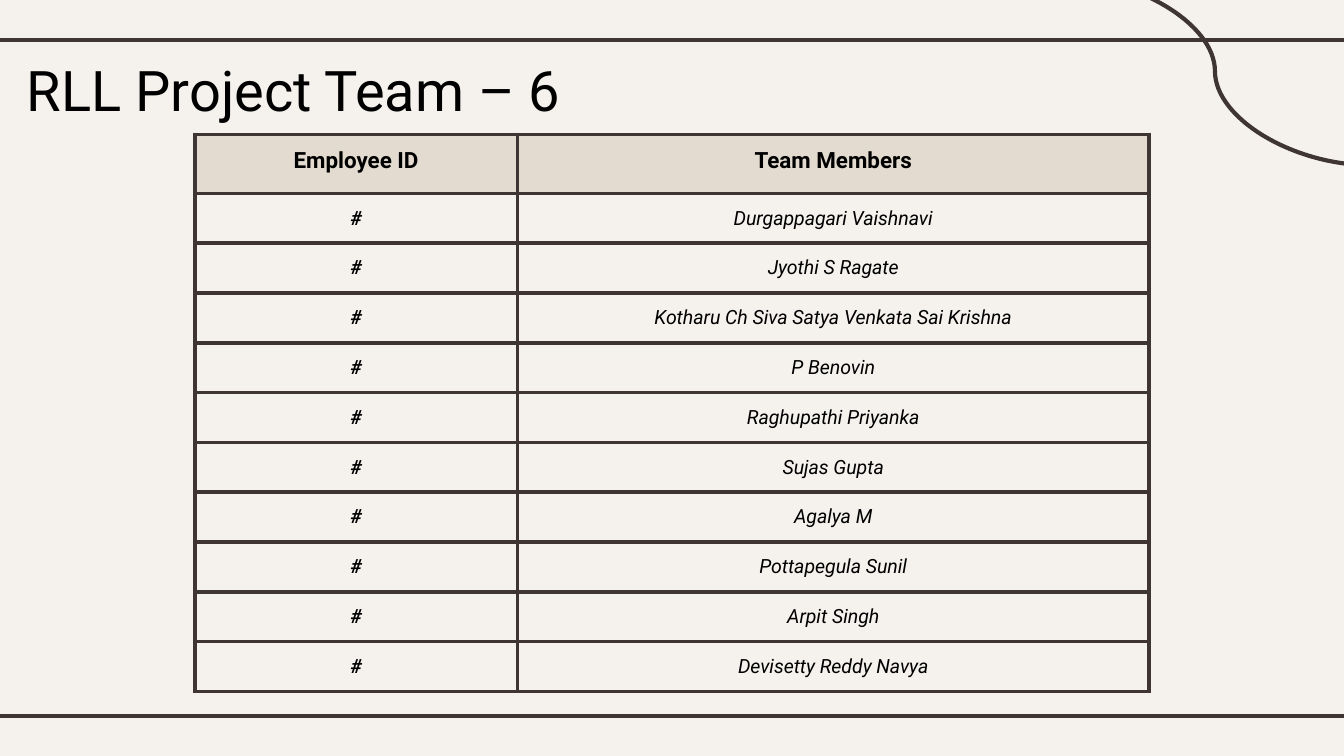
from dataclasses import dataclass

from lxml.etree import SubElement
from pptx import Presentation
from pptx.dml.color import RGBColor
from pptx.enum.shapes import MSO_CONNECTOR
from pptx.enum.text import MSO_ANCHOR, MSO_AUTO_SIZE, PP_ALIGN
from pptx.oxml.ns import qn
from pptx.util import Inches, Pt


@dataclass(frozen=True)
class Theme:
    font: str = "Roboto"
    background: str = "F5F2EE"
    header_fill: str = "E3DBD0"
    rule: str = "3F3533"
    text: str = "000000"
    rule_width: float = 2.25
    title_size: float = 30
    header_size: float = 12
    body_size: float = 10.5


THEME = Theme()
TITLE = "RLL Project Team – 6"
HEADERS = ("Employee ID", "Team Members")
EMPLOYEE_ID = "#"
MEMBERS = (
    "Durgappagari Vaishnavi",
    "Jyothi S Ragate",
    "Kotharu Ch Siva Satya Venkata Sai Krishna",
    "P Benovin",
    "Raghupathi Priyanka",
    "Sujas Gupta",
    "Agalya M",
    "Pottapegula Sunil",
    "Arpit Singh",
    "Devisetty Reddy Navya",
)

SLIDE_WIDTH = 10
SLIDE_HEIGHT = SLIDE_WIDTH * 9 / 16
BLEED = 0.08
RULE_INSET = 0.3
COLUMN_WIDTHS = (2.4, 4.7)
TABLE_TOP, HEADER_HEIGHT, ROW_HEIGHT = 1, 0.44, 0.37
MARGIN = 0.1


def color(name):
    return RGBColor.from_string(name)


def style_font(font, size, bold=False, italic=False):
    font.name, font.size = THEME.font, Pt(size)
    font.bold, font.italic = bold, italic
    font.color.rgb = color(THEME.text)


def set_margins(box):
    box.margin_left = box.margin_right = Inches(MARGIN)
    box.margin_top = box.margin_bottom = Inches(MARGIN)


def add_rule(slide, kind, *ends):
    rule = slide.shapes.add_connector(kind, *map(Inches, ends))
    rule.line.color.rgb = color(THEME.rule)
    rule.line.width = Pt(THEME.rule_width)
    SubElement(rule.element.spPr, qn("a:effectLst"))


def add_borders(cell):
    """Put borders first in the cell properties, where the schema wants them."""
    properties = cell._tc.get_or_add_tcPr()
    for position, side in enumerate(("lnL", "lnR", "lnT", "lnB")):
        border = SubElement(properties, qn(f"a:{side}"), w=str(Pt(THEME.rule_width)))
        fill = SubElement(border, qn("a:solidFill"))
        SubElement(fill, qn("a:srgbClr"), val=THEME.rule)
        properties.insert(position, border)


def fill_cell(cell, text, size, bold, italic, fill=None):
    cell.text = text
    set_margins(cell)
    cell.vertical_anchor = MSO_ANCHOR.TOP
    para = cell.text_frame.paragraphs[0]
    para.alignment = PP_ALIGN.CENTER
    style_font(para.font, size, bold, italic)
    if fill:
        cell.fill.solid()
        cell.fill.fore_color.rgb = color(fill)
    else:
        cell.fill.background()
    add_borders(cell)


def add_title(slide):
    title = slide.shapes.title
    title.left, title.top, title.width, title.height = map(
        Inches, (0.1, 0.31, 8.44, 0.63))
    frame = title.text_frame
    frame.text = TITLE
    frame.word_wrap = True
    frame.auto_size = MSO_AUTO_SIZE.NONE
    frame.vertical_anchor = MSO_ANCHOR.TOP
    set_margins(frame)
    para = frame.paragraphs[0]
    para.alignment = PP_ALIGN.LEFT
    style_font(para.font, THEME.title_size)


def add_team_table(slide):
    width = sum(COLUMN_WIDTHS)
    height = HEADER_HEIGHT + ROW_HEIGHT * len(MEMBERS)
    left = (SLIDE_WIDTH - width) / 2
    table = slide.shapes.add_table(
        len(MEMBERS) + 1, len(HEADERS),
        *map(Inches, (left, TABLE_TOP, width, height))).table
    for column, column_width in zip(table.columns, COLUMN_WIDTHS):
        column.width = Inches(column_width)
    for index, row in enumerate(table.rows):
        row.height = Inches(ROW_HEIGHT if index else HEADER_HEIGHT)

    for column, header in enumerate(HEADERS):
        fill_cell(table.cell(0, column), header, THEME.header_size,
                  True, False, THEME.header_fill)
    for row, member in enumerate(MEMBERS, start=1):
        fill_cell(table.cell(row, 0), EMPLOYEE_ID, THEME.body_size, True, True)
        fill_cell(table.cell(row, 1), member, THEME.body_size, False, True)


def main():
    deck = Presentation()
    deck.slide_width, deck.slide_height = Inches(SLIDE_WIDTH), Inches(SLIDE_HEIGHT)
    slide = deck.slides.add_slide(deck.slide_layouts.get_by_name("Title Only"))
    slide.background.fill.solid()
    slide.background.fill.fore_color.rgb = color(THEME.background)

    for y in (RULE_INSET, SLIDE_HEIGHT - RULE_INSET):
        add_rule(slide, MSO_CONNECTOR.STRAIGHT, -BLEED, y, SLIDE_WIDTH + BLEED, y)
    add_rule(slide, MSO_CONNECTOR.CURVE, 7.88, -0.17, 10.2, 1.23)
    add_title(slide)
    add_team_table(slide)
    deck.save("out.pptx")


if __name__ == "__main__":
    main()
